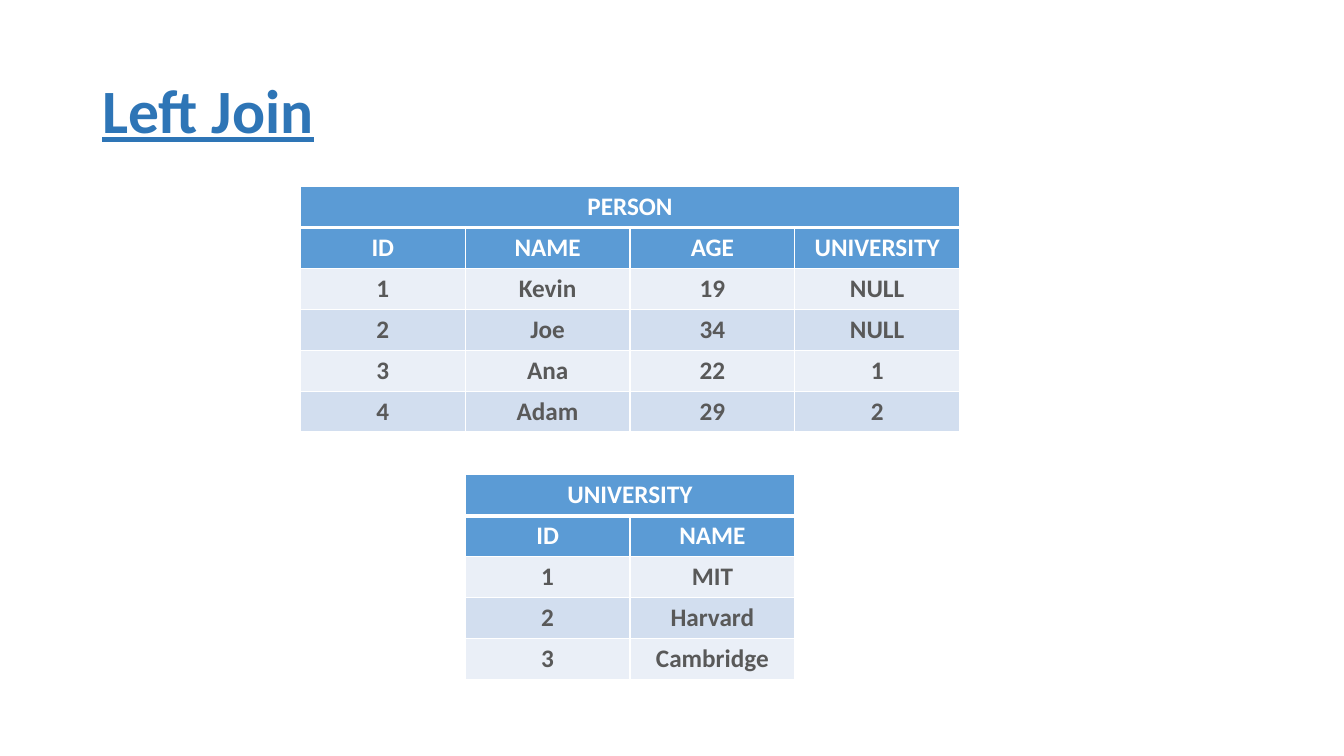
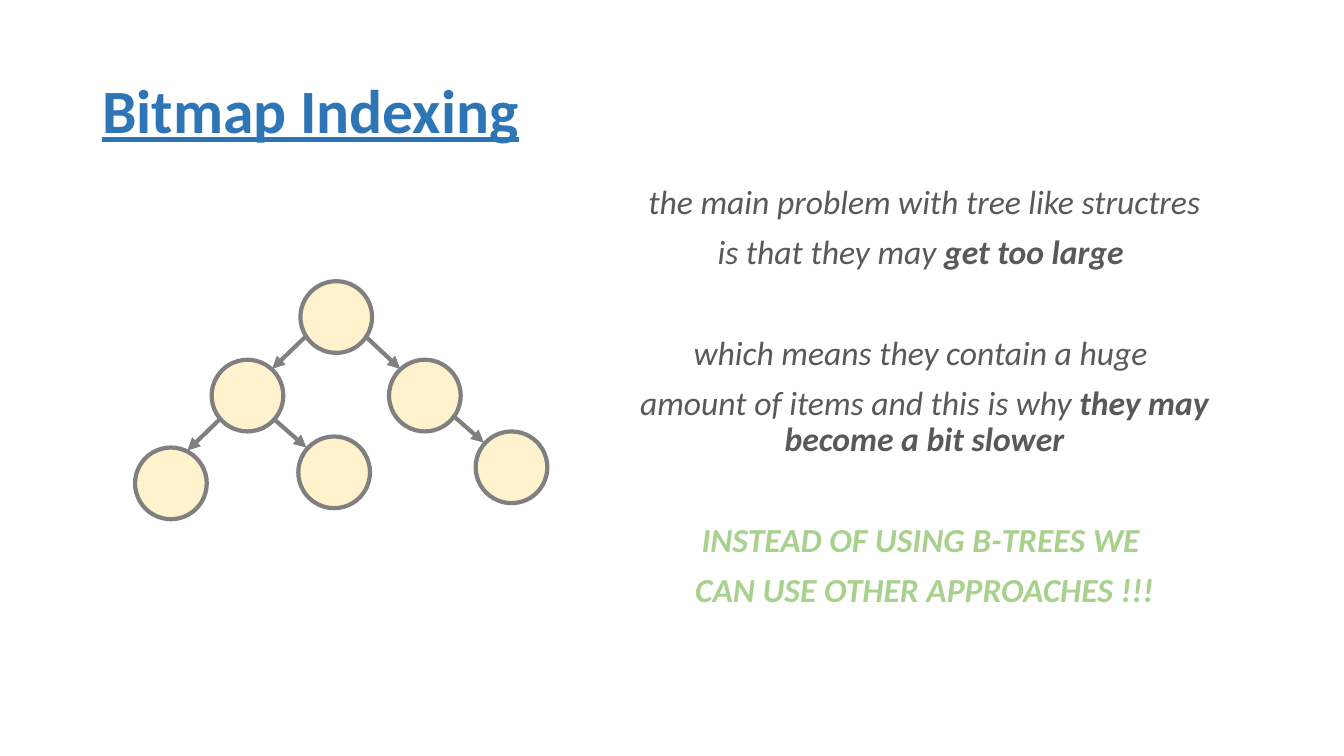
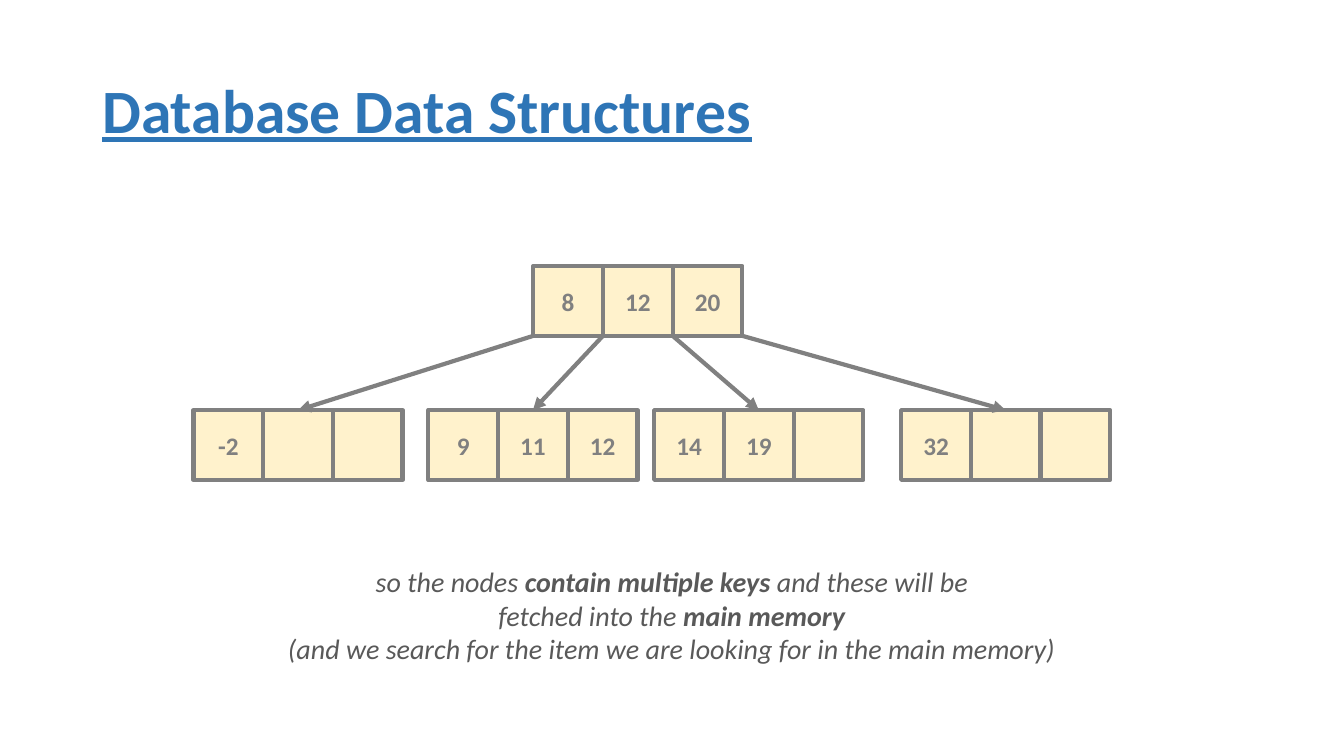
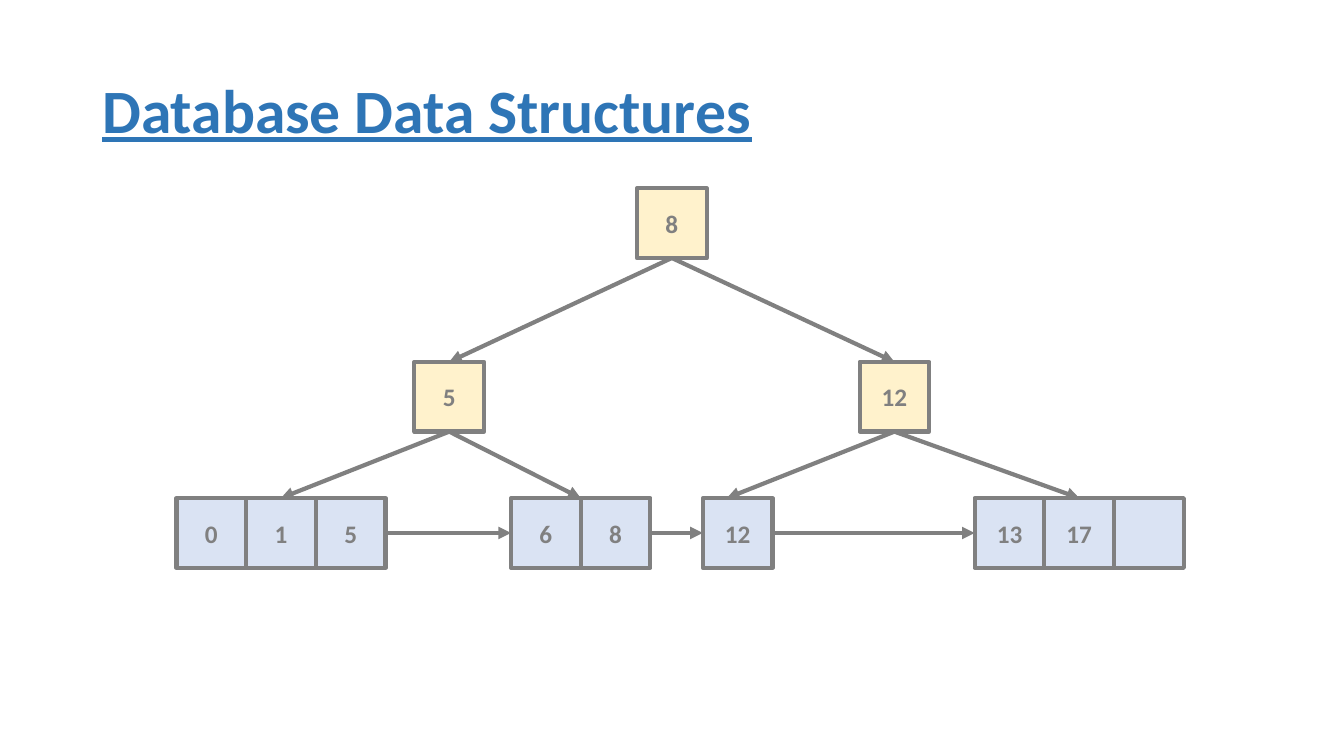
from lxml.etree import SubElement
from pptx import Presentation
from pptx.dml.color import RGBColor
from pptx.enum.shapes import MSO_CONNECTOR, MSO_SHAPE
from pptx.enum.text import MSO_ANCHOR, PP_ALIGN
from pptx.oxml.ns import qn
from pptx.shapes.autoshape import Shape
from pptx.util import Pt

FONT = "Calibri"
WHITE = RGBColor(0xFF, 0xFF, 0xFF)
TITLE_BLUE = RGBColor(0x2E, 0x75, 0xB6)
HEADER_BLUE = RGBColor(0x5B, 0x9B, 0xD5)
LIGHT_ROW = RGBColor(0xEA, 0xEF, 0xF7)
DARK_ROW = RGBColor(0xD2, 0xDE, 0xEF)
TEXT_GREY = RGBColor(0x59, 0x59, 0x59)
LINE_GREY = RGBColor(0x80, 0x80, 0x80)
CREAM = RGBColor(0xFF, 0xF2, 0xCC)
PALE_BLUE = RGBColor(0xDA, 0xE3, 0xF3)
GREEN = RGBColor(0xA9, 0xD1, 0x8E)

CELL = 49.8
CIRCLE = 51.2
TOP, LEFT, BOTTOM, RIGHT = range(4)


def draw_node(slide, kind, x, y, size, fill, key=""):
    node = slide.shapes.add_shape(kind, Pt(x), Pt(y), Pt(size), Pt(size))
    node.shadow.inherit = False
    node.fill.solid()
    node.fill.fore_color.rgb = fill
    node.line.color.rgb = LINE_GREY
    node.line.width = Pt(3)
    if key:
        node.text_frame.text = key
        node.text_frame.vertical_anchor = MSO_ANCHOR.MIDDLE
        paragraph = node.text_frame.paragraphs[0]
        paragraph.alignment = PP_ALIGN.CENTER
        font = paragraph.runs[0].font
        font.name, font.size, font.bold = FONT, Pt(18), True
        font.color.rgb = LINE_GREY
    return node


def draw_arrow(slide, start, end):
    """Each end is a point (x, y) or a joint (shape, connection site)."""
    arrow = slide.shapes.add_connector(MSO_CONNECTOR.STRAIGHT, 0, 0, 0, 0)
    if isinstance(start[0], Shape):
        arrow.begin_connect(*start)
    else:
        arrow.begin_x, arrow.begin_y = Pt(start[0]), Pt(start[1])
    if isinstance(end[0], Shape):
        arrow.end_connect(*end)
    else:
        arrow.end_x, arrow.end_y = Pt(end[0]), Pt(end[1])
    arrow.line.color.rgb = LINE_GREY
    arrow.line.width = Pt(3)
    SubElement(arrow.line._get_or_add_ln(), qn("a:tailEnd"), type="triangle")
    SubElement(arrow._element.spPr, qn("a:effectLst"))


prs = Presentation()
prs.slide_width, prs.slide_height = Pt(960), Pt(540)

# Titled slides
slides = []
for title in ("Left Join", "Bitmap Indexing",
              "Database Data Structures", "Database Data Structures"):
    slide = prs.slides.add_slide(prs.slide_layouts[6])
    heading = slide.shapes.add_textbox(Pt(66), Pt(28.8), Pt(828), Pt(104.4)).text_frame
    heading.word_wrap = True
    heading.vertical_anchor = MSO_ANCHOR.MIDDLE
    heading.text = title
    heading.paragraphs[0].line_spacing = 0.9
    font = heading.paragraphs[0].runs[0].font
    font.name, font.size, font.bold, font.underline = FONT, Pt(44), True, True
    font.color.rgb = TITLE_BLUE
    slides.append(slide)
join_slide, bitmap_slide, btree_slide, bplus_slide = slides

# Left Join: two tables
COLUMN_WIDTH, ROW_HEIGHT = 117.7, 29.2
tables = [
    (214.6, 133.4, [
        ["PERSON", "", "", ""],
        ["ID", "NAME", "AGE", "UNIVERSITY"],
        ["1", "Kevin", "19", "NULL"],
        ["2", "Joe", "34", "NULL"],
        ["3", "Ana", "22", "1"],
        ["4", "Adam", "29", "2"],
    ]),
    (332.3, 339.2, [
        ["UNIVERSITY", ""],
        ["ID", "NAME"],
        ["1", "MIT"],
        ["2", "Harvard"],
        ["3", "Cambridge"],
    ]),
]
for x, y, records in tables:
    columns = len(records[0])
    table = join_slide.shapes.add_table(
        len(records), columns, Pt(x), Pt(y),
        Pt(COLUMN_WIDTH * columns), Pt(ROW_HEIGHT * len(records))).table
    table.cell(0, 0).merge(table.cell(0, columns - 1))
    for column in table.columns:
        column.width = Pt(COLUMN_WIDTH)
    for r, record in enumerate(records):
        table.rows[r].height = Pt(ROW_HEIGHT)
        is_header = r < 2
        for c, value in enumerate(record):
            cell = table.cell(r, c)
            for side in "LRTB":
                under_name = (r, side) in ((0, "B"), (1, "T"))
                border = SubElement(cell._tc.get_or_add_tcPr(), qn(f"a:ln{side}"),
                                    w=str(Pt(3 if under_name else 1)))
                border_fill = SubElement(border, qn("a:solidFill"))
                SubElement(border_fill, qn("a:srgbClr"), val=str(WHITE))
            cell.fill.solid()
            cell.fill.fore_color.rgb = (
                HEADER_BLUE if is_header else DARK_ROW if r % 2 else LIGHT_ROW)
            if value:
                cell.text_frame.text = value
                paragraph = cell.text_frame.paragraphs[0]
                paragraph.alignment = PP_ALIGN.CENTER
                font = paragraph.runs[0].font
                font.name, font.size, font.bold = FONT, Pt(18), True
                font.color.rgb = WHITE if is_header else TEXT_GREY

# Bitmap Indexing: binary tree
for x, y in ((214.6, 200.9), (151.2, 257), (213.1, 311.8),
             (277.9, 257), (96.5, 319.7), (339.8, 308.2)):
    draw_node(bitmap_slide, MSO_SHAPE.OVAL, x, y, CIRCLE, CREAM)
for start, end in (
    ((218.2, 240.5), (194.4, 263.5)),
    ((261.4, 240.5), (285.8, 263.5)),
    ((196.6, 300.2), (218.9, 319.7)),
    ((157.7, 298.8), (133.9, 321.8)),
    ((323.3, 296.6), (345.6, 316.1)),
):
    draw_arrow(bitmap_slide, start, end)

# Database Data Structures: B-tree
ROOT_X, ROOT_Y = 380.9, 190.1
for i, key in enumerate(("8", "12", "20")):
    draw_node(btree_slide, MSO_SHAPE.RECTANGLE, ROOT_X + i * CELL, ROOT_Y, CELL, CREAM, key)
leaves = ((138.2, ("-2", "", "")), (306, ("9", "11", "12")),
          (467.3, ("14", "19", "")), (643.7, ("32", "", "")))
for gap, (x, keys) in enumerate(leaves):
    cells = [draw_node(btree_slide, MSO_SHAPE.RECTANGLE, x + i * CELL, 293, CELL, CREAM, key)
             for i, key in enumerate(keys)]
    draw_arrow(btree_slide, (ROOT_X + gap * CELL, ROOT_Y + CELL), (cells[1], TOP))

# Database Data Structures: B+ tree with linked leaves
root, left_child, right_child = [
    draw_node(bplus_slide, MSO_SHAPE.RECTANGLE, x, y, CELL, CREAM, key)
    for x, y, key in ((455, 134.5, "8"), (296, 258.5, "5"), (614, 258.5, "12"))]
LEAF_Y = 355.8
leaves = [
    [draw_node(bplus_slide, MSO_SHAPE.RECTANGLE, x + i * CELL, LEAF_Y, CELL, PALE_BLUE, key)
     for i, key in enumerate(keys)]
    for x, keys in ((126, ("0", "1", "5")), (365, ("6", "8")),
                    (502, ("12",)), (696.2, ("13", "17", "")))]
for parent, end in (
    (root, (left_child, TOP)),
    (root, (right_child, TOP)),
    (left_child, (leaves[0][1], TOP)),
    (left_child, (365 + CELL, LEAF_Y)),
    (right_child, (519.2, LEAF_Y)),
    (right_child, (leaves[3][1], TOP)),
):
    draw_arrow(bplus_slide, (parent, BOTTOM), end)
for leaf, next_leaf in zip(leaves, leaves[1:]):
    draw_arrow(bplus_slide, (leaf[-1], RIGHT), (next_leaf[0], LEFT))

# Explanations: each line is (space before, colour, runs of (text, bold))
explanations = [
    (bitmap_slide, (427, 128.9, 466.6, 342.7), True, 24, 0.9, [
        (0, TEXT_GREY, [("the main problem with tree like structres", False)]),
        (10, TEXT_GREY, [("is that they may", False), (" get too large ", True)]),
        (46, TEXT_GREY, [("which means they contain a huge ", False)]),
        (10, TEXT_GREY, [("amount of items and this is why ", False),
                         ("they may become a bit slower", True)]),
        (46, GREEN, [("INSTEAD OF USING B-TREES WE ", True)]),
        (10, GREEN, [("CAN USE OTHER APPROACHES !!!", True)]),
    ]),
    (btree_slide, (196.6, 399.6, 566.6, 79.9), False, 20, 1.0, [
        (0, TEXT_GREY, [("so the nodes ", False), ("contain multiple keys ", True),
                        ("and these will be", False)]),
        (0, TEXT_GREY, [("fetched into the ", False), ("main memory", True)]),
        (0, TEXT_GREY, [("(and we search for the item we are looking for "
                         "in the main memory)", False)]),
    ]),
]
for slide, box, wrap, size, line_spacing, lines in explanations:
    explanation = slide.shapes.add_textbox(*map(Pt, box)).text_frame
    explanation.word_wrap = wrap
    for i, (space_before, color, runs) in enumerate(lines):
        paragraph = explanation.add_paragraph() if i else explanation.paragraphs[0]
        paragraph.alignment = PP_ALIGN.CENTER
        paragraph.line_spacing = line_spacing
        paragraph.space_before = Pt(space_before)
        for words, bold in runs:
            run = paragraph.add_run()
            run.text = words
            run.font.name, run.font.size = FONT, Pt(size)
            run.font.italic, run.font.bold = True, bold
            run.font.color.rgb = color

prs.save("out.pptx")
